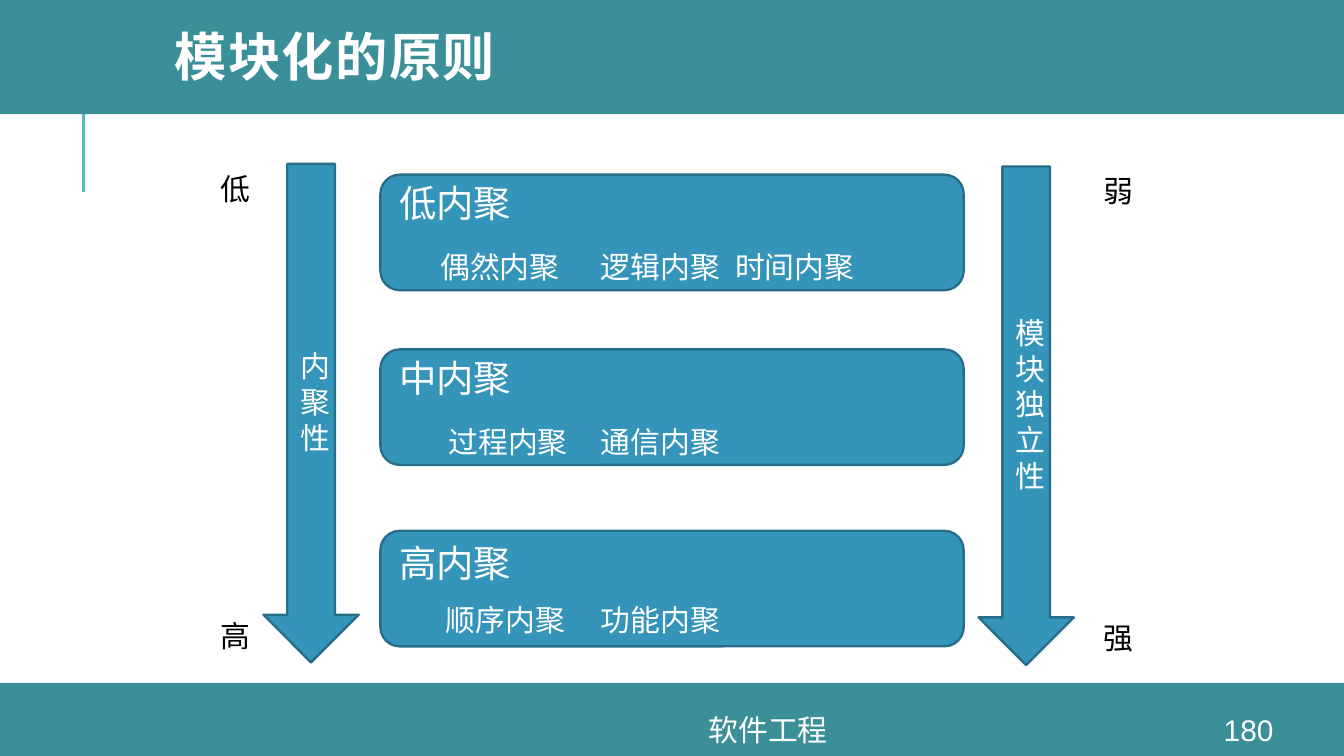
from lxml import etree
from pptx import Presentation
from pptx.dml.color import RGBColor
from pptx.enum.shapes import MSO_CONNECTOR, MSO_SHAPE
from pptx.enum.text import MSO_ANCHOR, MSO_AUTO_SIZE, PP_ALIGN
from pptx.oxml.ns import qn
from pptx.util import Pt

RECTANGLE, ROUNDED = MSO_SHAPE.RECTANGLE, MSO_SHAPE.ROUNDED_RECTANGLE
DOWN_ARROW, STRAIGHT = MSO_SHAPE.DOWN_ARROW, MSO_CONNECTOR.STRAIGHT
TOP, MIDDLE = MSO_ANCHOR.TOP, MSO_ANCHOR.MIDDLE
LEFT, CENTER = PP_ALIGN.LEFT, PP_ALIGN.CENTER
GROW = MSO_AUTO_SIZE.SHAPE_TO_FIT_TEXT

COLORS = {
    "band": "3A8F98",
    "rule": "58B6C0",
    "block": "3494BA",
    "outline": "266D8A",
    "white": "FFFFFF",
    "black": "000000",
}

# top, heading, kinds, first indent, tab stops, space before the kinds
LEVELS = [
    (93.6, "低内聚", ["偶然内聚", "逻辑内聚", "时间内聚"], 22, [100, 175], 13),
    (187.2, "中内聚", ["过程内聚", "通信内聚"], 26.5, [101], 13),
    (284.4, "高内聚", ["顺序内聚", "功能内聚"], 25, [99.5], 9),
]

# arrow left, arrow top, arrow text, label left, start label, end label
SCALES = [
    (141.1, 87.8, "内聚性", 110.9, "低", "高"),
    (524.2, 89.2, "模块独立性", 583.9, "弱", "强"),
]


def color(name):
    return RGBColor.from_string(COLORS[name])


class SlideBuilder:
    font = "Arial"
    title_font = "Montserrat"
    size = 16
    heading_size = 20

    def __init__(self, slide):
        self.slide = slide

    def format(self, para, size, fill="white", font=None, bold=False, align=LEFT):
        para.alignment = align
        for span in para.runs:
            span.font.name = font or self.font
            span.font.size = Pt(size)
            span.font.bold = bold
            span.font.color.rgb = color(fill)

    def title(self, text, left, top, width, height):
        box = self.slide.shapes.title
        box.left, box.top, box.width, box.height = map(Pt, (left, top, width, height))
        # The placeholder comes first in the tree; bring it in front of the band.
        self.slide.shapes._spTree.append(box._element)
        frame = box.text_frame
        frame.text = text
        frame.vertical_anchor = MIDDLE
        para = frame.paragraphs[0]
        para.line_spacing = 0.8
        self.format(para, 28, font=self.title_font, bold=True)
        para.runs[0].font._element.set("spc", "80")

    def shape(self, kind, left, top, width, height, fill, outline=None):
        box = self.slide.shapes.add_shape(kind, *map(Pt, (left, top, width, height)))
        box.shadow.inherit = False
        box.fill.solid()
        box.fill.fore_color.rgb = color(fill)
        if outline:
            box.line.color.rgb = color(outline)
            box.line.width = Pt(1.25)
        else:
            box.line.fill.background()
        return box

    def rule(self, left, top, bottom):
        line = self.slide.shapes.add_connector(
            STRAIGHT, Pt(left), Pt(bottom), Pt(left), Pt(top))
        line.line.color.rgb = color("rule")
        line.line.width = Pt(1.5)
        etree.SubElement(line._element.spPr, qn("a:effectLst"))

    def text(self, text, left, top, width, height, fill="white", anchor=MIDDLE,
             align=CENTER, wrap=True):
        box = self.slide.shapes.add_textbox(*map(Pt, (left, top, width, height)))
        frame = box.text_frame
        frame.text = text
        frame.word_wrap = wrap
        frame.vertical_anchor = anchor
        if not wrap:
            frame.auto_size = GROW
        self.format(frame.paragraphs[0], self.size, fill, align=align)

    def label(self, text, left, top):
        self.text(text, left, top, 31, 26.6, "black", TOP, LEFT, wrap=False)

    def arrow(self, text, left, top):
        box = self.shape(DOWN_ARROW, left, top, 51.1, 267.1, "block", "outline")
        frame = box.text_frame
        frame.text = text
        frame.vertical_anchor = MIDDLE
        self.format(frame.paragraphs[0], self.size, align=CENTER)

    def level(self, top, heading, kinds, indent, stops, gap):
        """Draw one cohesion level: a heading over its kinds, set apart by tabs."""
        box = self.shape(ROUNDED, 203.8, top, 312.5, 61.9, "block", "outline")
        frame = box.text_frame
        frame.text = heading
        frame.vertical_anchor = MIDDLE
        self.format(frame.paragraphs[0], self.heading_size)

        para = frame.add_paragraph()
        para.text = "\t".join(kinds)
        para.space_before = Pt(gap)
        properties = para._p.get_or_add_pPr()
        properties.set("marL", "0")
        properties.set("indent", str(Pt(indent)))
        tabs = etree.SubElement(properties, qn("a:tabLst"))
        for stop in stops:
            etree.SubElement(tabs, qn("a:tab"), pos=str(Pt(stop)), algn="l")
        self.format(para, self.size)


def main():
    deck = Presentation()
    deck.slide_width, deck.slide_height = Pt(720), Pt(405)
    page = SlideBuilder(deck.slides.add_slide(deck.slide_layouts[5]))

    page.rule(44.6, 49, 103)
    page.shape(RECTANGLE, 0, 365.8, 720, 39.2, "band")
    page.shape(RECTANGLE, 0, 0, 720, 61.2, "band")
    page.title("模块化的原则", 86.4, 0, 611.3, 65.5)
    page.text("软件工程", 187.9, 382.3, 447.1, 16.6)
    page.text("180", 640.1, 382.3, 57.6, 16.6)

    for level in LEVELS:
        page.level(*level)
    for left, top, name, label_left, start, end in SCALES:
        page.arrow(name, left, top)
        page.label(start, label_left, top)
        page.label(end, label_left, top + 239.5)

    deck.save("out.pptx")


if __name__ == "__main__":
    main()
